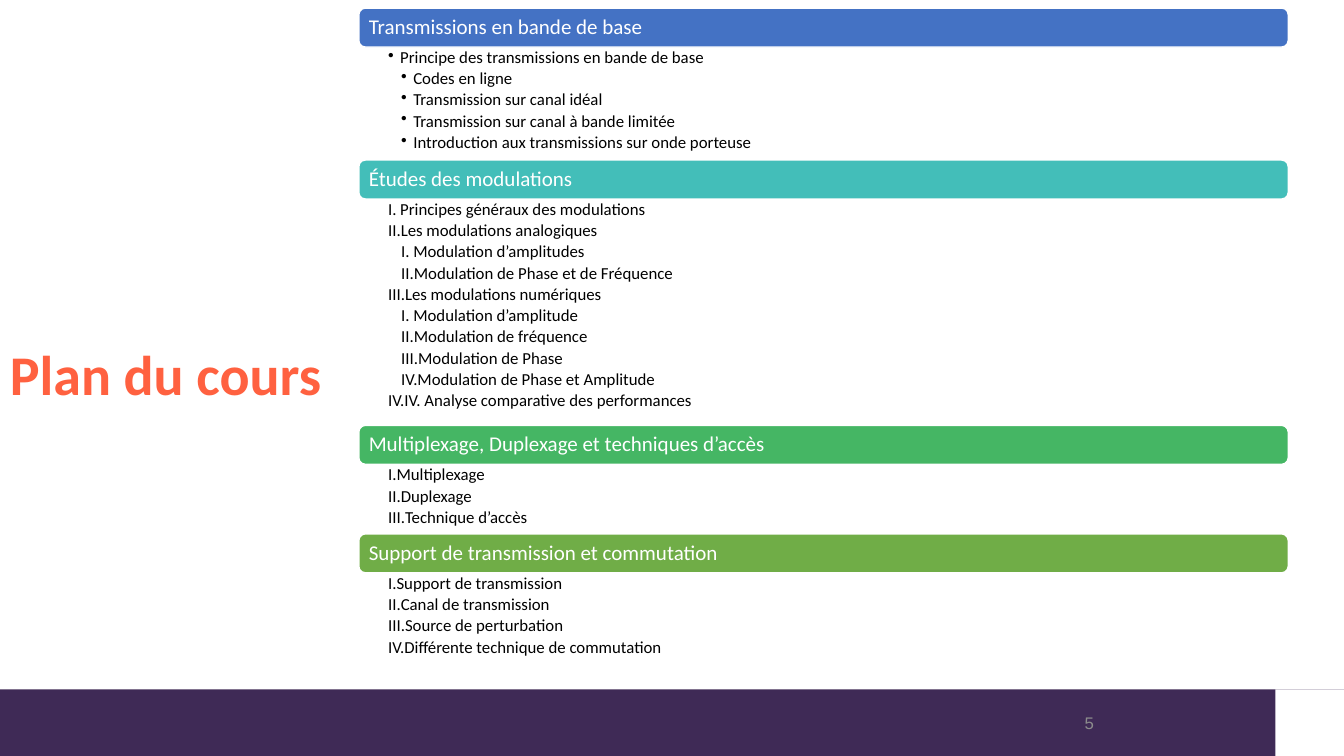
from lxml import etree
from pptx import Presentation
from pptx.dml.color import RGBColor
from pptx.enum.shapes import MSO_SHAPE
from pptx.enum.text import MSO_ANCHOR, PP_ALIGN
from pptx.oxml.ns import qn
from pptx.util import Inches, Pt

RECT, ROUND = MSO_SHAPE.RECTANGLE, MSO_SHAPE.ROUNDED_RECTANGLE
TOP, MIDDLE = MSO_ANCHOR.TOP, MSO_ANCHOR.MIDDLE
RIGHT = PP_ALIGN.RIGHT

WIDTH, HEIGHT = Inches(13.33), Inches(7.5)
COL, ROW = WIDTH / 100, HEIGHT / 100
LEFT, SPAN, FIRST_ROW, HEAD_ROWS = 26.7, 69.15, 1.07, 5.15

COLORS = {
    "title": "FF6140", "footer": "3F2A56", "number": "8C8C8C",
    "white": "FFFFFF", "black": "000000", "blue": "4472C4",
    "teal": "43BEB9", "green": "45B664", "olive": "70AD47",
}

BULLET = ("buChar", {"char": "•"})
ROMAN = ("buAutoNum", {"type": "romanUcPeriod"})

SECTIONS = [
    ("Transmissions en bande de base", "blue", 14.95, BULLET, 0.12, [
        (1, "Principe des transmissions en bande de base"),
        (2, "Codes en ligne"),
        (2, "Transmission sur canal idéal"),
        (2, "Transmission sur canal à bande limitée"),
        (2, "Introduction aux transmissions sur onde porteuse"),
    ]),
    ("Études des modulations", "teal", 29.95, ROMAN, 0.12, [
        (1, "Principes généraux des modulations"),
        (1, "Les modulations analogiques"),
        (2, "Modulation d’amplitudes"),
        (2, "Modulation de Phase et de Fréquence"),
        (1, "Les modulations numériques"),
        (2, "Modulation d’amplitude"),
        (2, "Modulation de fréquence"),
        (2, "Modulation de Phase"),
        (2, "Modulation de Phase et Amplitude"),
        (1, "IV. Analyse comparative des performances"),
    ]),
    ("Multiplexage, Duplexage et techniques d’accès", "green", 9.2, ROMAN, 0.06, [
        (1, "Multiplexage"),
        (1, "Duplexage"),
        (1, "Technique d’accès"),
    ]),
    ("Support de transmission et commutation", "olive", 14.95, ROMAN, 0.06, [
        (1, "Support de transmission"),
        (1, "Canal de transmission"),
        (1, "Source de perturbation"),
        (1, "Différente technique de commutation"),
    ]),
]


def place(x, y, w, h):
    return [int(v) for v in (x * COL, y * ROW, w * COL, h * ROW)]


def add_block(slide, box, color, preset=RECT, outlined=False):
    sp = slide.shapes.add_shape(preset, *place(*box))
    sp.shadow.inherit = False
    sp.fill.solid()
    sp.fill.fore_color.rgb = RGBColor.from_string(COLORS[color])
    if outlined:
        sp.line.color.rgb = RGBColor.from_string(COLORS["white"])
        sp.line.width = Pt(1)
    else:
        sp.line.fill.background()
    return sp


def add_box(slide, box):
    return slide.shapes.add_textbox(*place(*box))


def set_frame(sp, anchor, insets=(0.1, 0.05, 0.1, 0.05)):
    tf = sp.text_frame
    sides = ("margin_left", "margin_top", "margin_right", "margin_bottom")
    values = dict(zip(sides, map(Inches, insets)), word_wrap=True, vertical_anchor=anchor)
    for name, value in values.items():
        setattr(tf, name, value)
    return tf


def write(p, text, size, color, font="Calibri", bold=False, **layout):
    for name, value in layout.items():
        setattr(p, name, value)
    r = p.add_run()
    r.text = text
    for name, value in {"size": Pt(size), "name": font, "bold": bold}.items():
        setattr(r.font, name, value)
    r.font.color.rgb = RGBColor.from_string(COLORS[color])


def set_marker(p, marker, margin):
    tag, attrs = marker
    pPr = p._p.get_or_add_pPr()
    pPr.set("marL", str(Inches(margin)))
    pPr.set("indent", str(-Inches(0.12)))
    etree.SubElement(pPr, qn("a:" + tag), attrs)


def add_header(slide, y, text, color):
    sp = add_block(slide, (LEFT, y, SPAN, HEAD_ROWS), color, ROUND, True)
    tf = set_frame(sp, MIDDLE, (0.08, 0, 0.08, 0))
    write(tf.paragraphs[0], text, 15, "white", line_spacing=0.9, alignment=PP_ALIGN.LEFT)


def add_list(slide, y, rows, marker, margin, items):
    tf = set_frame(add_box(slide, (LEFT, y, SPAN, rows)), TOP, (0.29, 0.02, 0.12, 0.02))
    for i, (level, text) in enumerate(items):
        p = tf.add_paragraph() if i else tf.paragraphs[0]
        write(p, text, 12, "black", level=level, line_spacing=0.9, space_after=Pt(2.2))
        set_marker(p, marker, margin if level == 1 else 0.25)


def main():
    prs = Presentation()
    prs.slide_width, prs.slide_height = WIDTH, HEIGHT
    slide = prs.slides.add_slide(prs.slide_layouts[6])

    add_block(slide, (0, 91.2, 100, 8.8), "footer")
    add_block(slide, (94.9, 91.2, 5.1, 8.8), "white")

    title = set_frame(add_box(slide, (0, 16.93, 29.55, 66)), MIDDLE)
    write(title.paragraphs[0], "Plan du cours", 40, "title", bold=True, line_spacing=0.9)

    y = FIRST_ROW
    for heading, color, rows, marker, margin, items in SECTIONS:
        add_header(slide, y, heading, color)
        add_list(slide, y + HEAD_ROWS, rows, marker, margin, items)
        y += HEAD_ROWS + rows

    number = set_frame(add_box(slide, (59.64, 92.93, 22.5, 5.33)), MIDDLE)
    write(number.paragraphs[0], "5", 12, "number", font="Arial", alignment=RIGHT)

    prs.save("out.pptx")


main()
